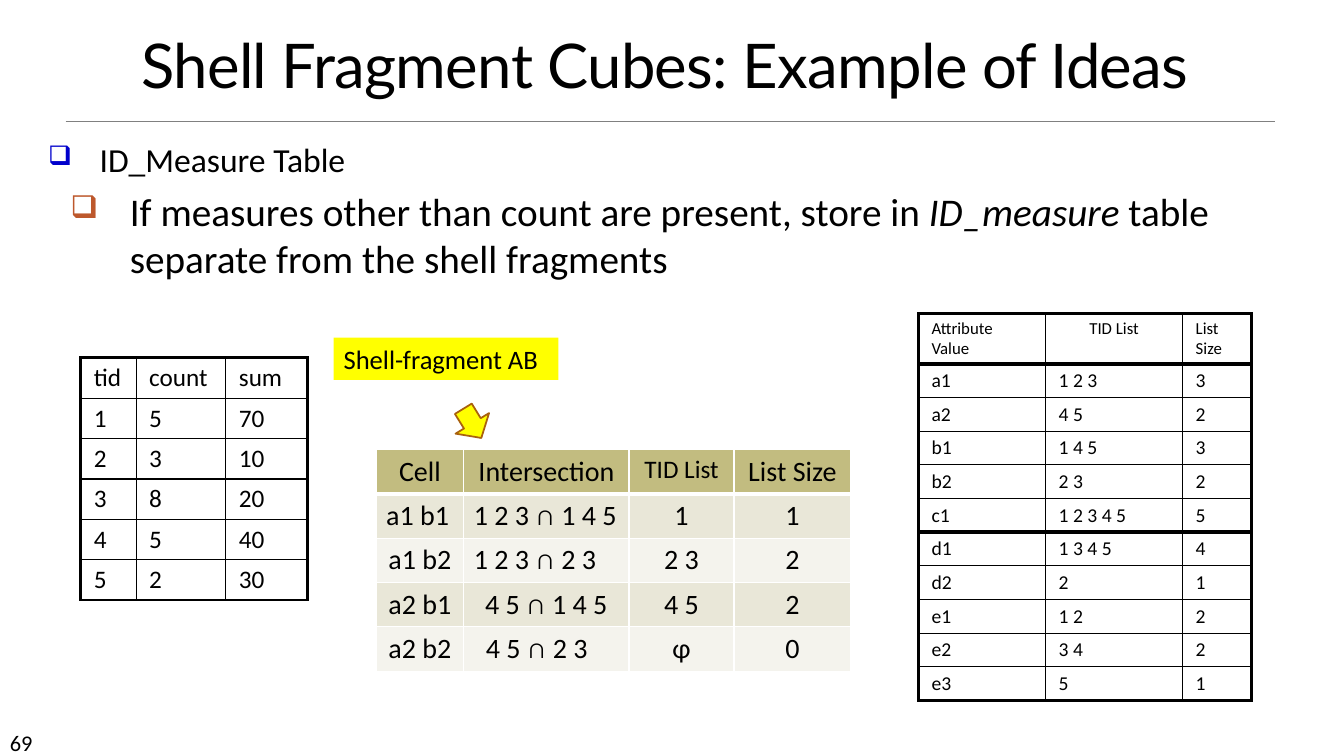
from lxml import etree
from pptx import Presentation
from pptx.dml.color import RGBColor
from pptx.enum.shapes import MSO_CONNECTOR, MSO_SHAPE
from pptx.enum.text import MSO_ANCHOR, MSO_AUTO_SIZE, PP_ALIGN
from pptx.oxml.ns import qn
from pptx.util import Emu, Inches, Pt

LEFT, CENTER = PP_ALIGN.LEFT, PP_ALIGN.CENTER
COLORS = {
    "text": "000000", "rule": "808080", "grid": "000000", "white": "FFFFFF",
    "bullet": "0000CC", "sub_bullet": "BD582C", "highlight": "FFFF00",
    "arrow_line": "A9610D", "header": "C2BC80", "odd": "E9E7D8", "even": "F4F3ED",
}


def color(name):
    return RGBColor.from_string(COLORS[name])


def style_font(paragraph, size, name="Calibri"):
    font = paragraph.font
    font.name, font.size, font.bold = name, Pt(size), False
    font.color.rgb = color("text")


def add_title(slide, left, top, width, height):
    title = slide.shapes.title
    title.left, title.top = Inches(left), Inches(top)
    title.width, title.height = Inches(width), Inches(height)
    frame = title.text_frame
    frame.auto_size = MSO_AUTO_SIZE.NONE
    frame.vertical_anchor = MSO_ANCHOR.BOTTOM
    paragraph = frame.paragraphs[0]
    run = paragraph.add_run()
    run.text = "Shell Fragment Cubes: Example of Ideas"
    run._r.get_or_add_rPr().set("spc", "-50")
    paragraph.alignment, paragraph.line_spacing = CENTER, 0.85
    style_font(paragraph, 44, "Lato")

    rule_y = Inches(top + height + 0.15)
    rule = slide.shapes.add_connector(
        MSO_CONNECTOR.STRAIGHT, Inches(0.65), rule_y, Inches(12.65), rule_y)
    rule.line.color.rgb, rule.line.width = color("rule"), Pt(0.5)
    etree.SubElement(rule._element.spPr, qn("a:effectLst"))


def add_text_box(slide, left, top, width, height):
    box = slide.shapes.add_textbox(
        Inches(left), Inches(top), Inches(width), Inches(height))
    box.text_frame.word_wrap = True
    return box.text_frame


def set_bullet(paragraph, bullet_color, margin, hanging):
    properties = paragraph._p.get_or_add_pPr()
    properties.set("marL", str(Inches(margin)))
    properties.set("indent", str(-Inches(hanging)))
    holder = etree.SubElement(properties, qn("a:buClr"))
    etree.SubElement(holder, qn("a:srgbClr"), val=COLORS[bullet_color])
    etree.SubElement(properties, qn("a:buSzPct"), val="80000")
    etree.SubElement(properties, qn("a:buChar"), char="❑")


def add_bullets(slide, left, top, width, height):
    frame = add_text_box(slide, left, top, width, height)
    heading = frame.paragraphs[0]
    heading.add_run().text = "ID_Measure Table"
    set_bullet(heading, "bullet", 0.51, 0.51)
    style_font(heading, 24)

    detail = frame.add_paragraph()
    detail.level = 1
    detail.space_before = Pt(6)
    for text, italic in (
            ("If measures other than count are present, store in ", False),
            ("ID_measure", True),
            (" table separate from the shell fragments", False)):
        run = detail.add_run()
        run.text, run.font.italic = text, italic
    set_bullet(detail, "sub_bullet", 0.81, 0.59)
    style_font(detail, 28)


def set_borders(cell, line_color, widths):
    """Draw the left, right, top and bottom borders, widths in points."""
    properties = cell._tc.get_or_add_tcPr()
    for side, width in zip("LRTB", widths):
        line = etree.SubElement(properties, qn(f"a:ln{side}"), w=str(Pt(width)))
        fill = etree.SubElement(line, qn("a:solidFill"))
        etree.SubElement(fill, qn("a:srgbClr"), val=COLORS[line_color])


def add_plain_table(slide, left, top, rows, column_widths, row_heights):
    frame = slide.shapes.add_table(
        len(rows), len(column_widths), Inches(left), Inches(top),
        Inches(sum(column_widths)), Inches(sum(row_heights)))
    table = frame.table
    table.first_row = table.horz_banding = False
    for column, width in zip(table.columns, column_widths):
        column.width = Inches(width)
    for row, height in zip(table.rows, row_heights):
        row.height = Inches(height)
    for cells, texts in zip(table.rows, rows):
        for cell, text in zip(cells.cells, texts):
            cell.text = text
    return table


def add_grid_table(slide, left, top, rows, column_widths, row_heights,
                   sizes, heavy_rules=()):
    """Place a black-ruled table; sizes are the header and body text sizes."""
    table = add_plain_table(slide, left, top, rows, column_widths, row_heights)
    vertical = [2.25] + [1] * (len(column_widths) - 1) + [2.25]
    horizontal = [2.25] + [3 if i in heavy_rules else 1
                           for i in range(1, len(rows))] + [2.25]
    for i, row in enumerate(table.rows):
        for j, cell in enumerate(row.cells):
            cell.margin_left = cell.margin_right = Inches(0.13)
            set_borders(cell, "grid", (*vertical[j:j + 2], *horizontal[i:i + 2]))
            cell.fill.background()
            style_font(cell.text_frame.paragraphs[0], sizes[min(i, 1)])
    return table


def add_measure_table(slide, left, top):
    rows = [("tid", "count", "sum"), ("1", "5", "70"), ("2", "3", "10"),
            ("3", "8", "20"), ("4", "5", "40"), ("5", "2", "30")]
    add_grid_table(slide, left, top, rows, (0.55, 0.89, 0.81),
                   [0.4] * len(rows), (18, 18))


def add_attribute_table(slide, left, top):
    rows = [("Attribute Value", "TID List", "List Size"),
            ("a1", "1 2 3", "3"), ("a2", "4 5", "2"), ("b1", "1 4 5", "3"),
            ("b2", "2 3", "2"), ("c1", "1 2 3 4 5", "5"), ("d1", "1 3 4 5", "4"),
            ("d2", "2", "1"), ("e1", "1 2", "2"), ("e2", "3 4", "2"),
            ("e3", "5", "1")]
    table = add_grid_table(slide, left, top, rows, (1.26, 1.36, 0.68),
                           [0.5] + [0.33] * (len(rows) - 1), (12, 14), (1, 6))
    table.cell(0, 1).text_frame.paragraphs[0].alignment = CENTER


def add_fragment_table(slide, left, top):
    rows = [("Cell", "Intersection", "TID List", "List Size"),
            ("a1 b1", "1 2 3 ∩ 1 4 5", "1", "1"),
            ("a1 b2", "1 2 3 ∩ 2 3", "2 3", "2"),
            ("a2 b1", "4 5 ∩ 1 4 5", "4 5", "2"),
            ("a2 b2", "4 5 ∩ 2 3", "φ", "0")]
    left_aligned = {(1, 0), (1, 1), (2, 1), (4, 1)}
    table = add_plain_table(slide, left, top, rows, (0.87, 1.64, 1.04, 1.16),
                            [0.44] * len(rows))
    for i, row in enumerate(table.rows):
        fill = "header" if i == 0 else "odd" if i % 2 else "even"
        for j, cell in enumerate(row.cells):
            set_borders(cell, "white", (1, 1, 3 if i == 1 else 1, 3 if i == 0 else 1))
            cell.fill.solid()
            cell.fill.fore_color.rgb = color(fill)
            paragraph = cell.text_frame.paragraphs[0]
            paragraph.alignment = LEFT if (i, j) in left_aligned else CENTER
            style_font(paragraph, 18 if (i, j) == (0, 2) else 20)
    table.cell(4, 1).margin_left = Inches(0.22)


def add_fragment_label(slide, left, top):
    label = slide.shapes.add_shape(
        MSO_SHAPE.RECTANGLE, Inches(left), Inches(top), Inches(2.23), Inches(0.42))
    label.line.fill.background()
    label.text_frame.text = "Shell-fragment AB"
    paragraph = label.text_frame.paragraphs[0]
    paragraph.alignment = LEFT
    style_font(paragraph, 19)

    arrow = slide.shapes.add_shape(
        MSO_SHAPE.DOWN_ARROW, Inches(left + 1.18), Inches(top + 0.68),
        Inches(0.39), Inches(0.34))
    arrow.rotation = 328.4
    arrow.line.color.rgb, arrow.line.width = color("arrow_line"), Pt(1.25)
    for shape in (label, arrow):
        shape.shadow.inherit = False
        shape.fill.solid()
        shape.fill.fore_color.rgb = color("highlight")


def add_page_number(slide, left, top, width, height):
    paragraph = add_text_box(slide, left, top, width, height).paragraphs[0]
    paragraph.add_run().text = "69"
    style_font(paragraph, 16)


def main():
    presentation = Presentation()
    presentation.slide_width = Emu(Inches(13.33))
    presentation.slide_height = Inches(7.5)
    slide = presentation.slides.add_slide(presentation.slide_layouts[5])
    add_title(slide, 0.38, 0.24, 12.43, 0.81)
    add_page_number(slide, 0, 7.18, 1.17, 0.3)
    add_bullets(slide, 0.38, 1.33, 12.47, 1.6)
    add_attribute_table(slide, 9.11, 3.11)
    add_fragment_table(slide, 3.73, 4.46)
    add_measure_table(slide, 0.8, 3.55)
    add_fragment_label(slide, 3.31, 3.35)
    presentation.save("out.pptx")


if __name__ == "__main__":
    main()
